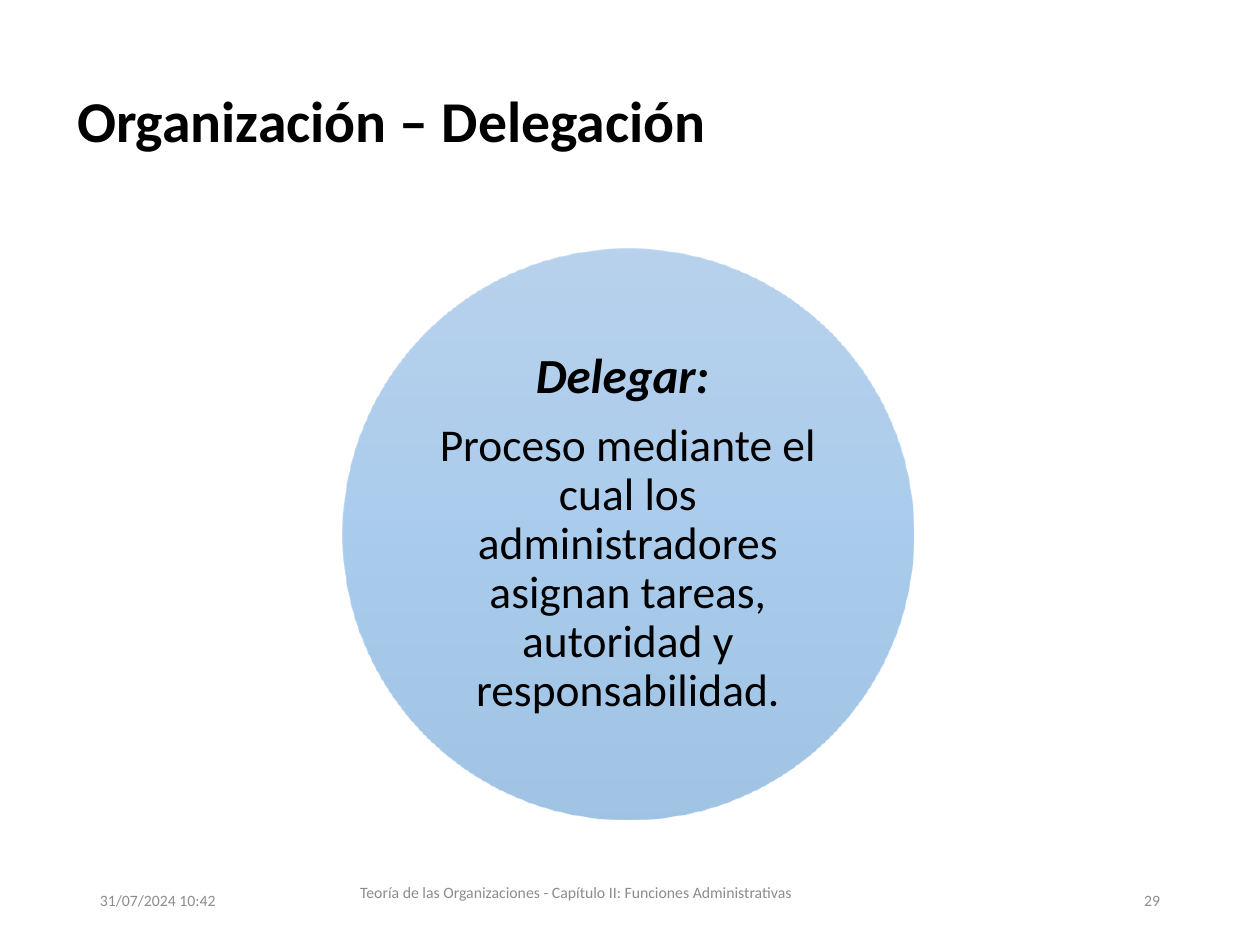
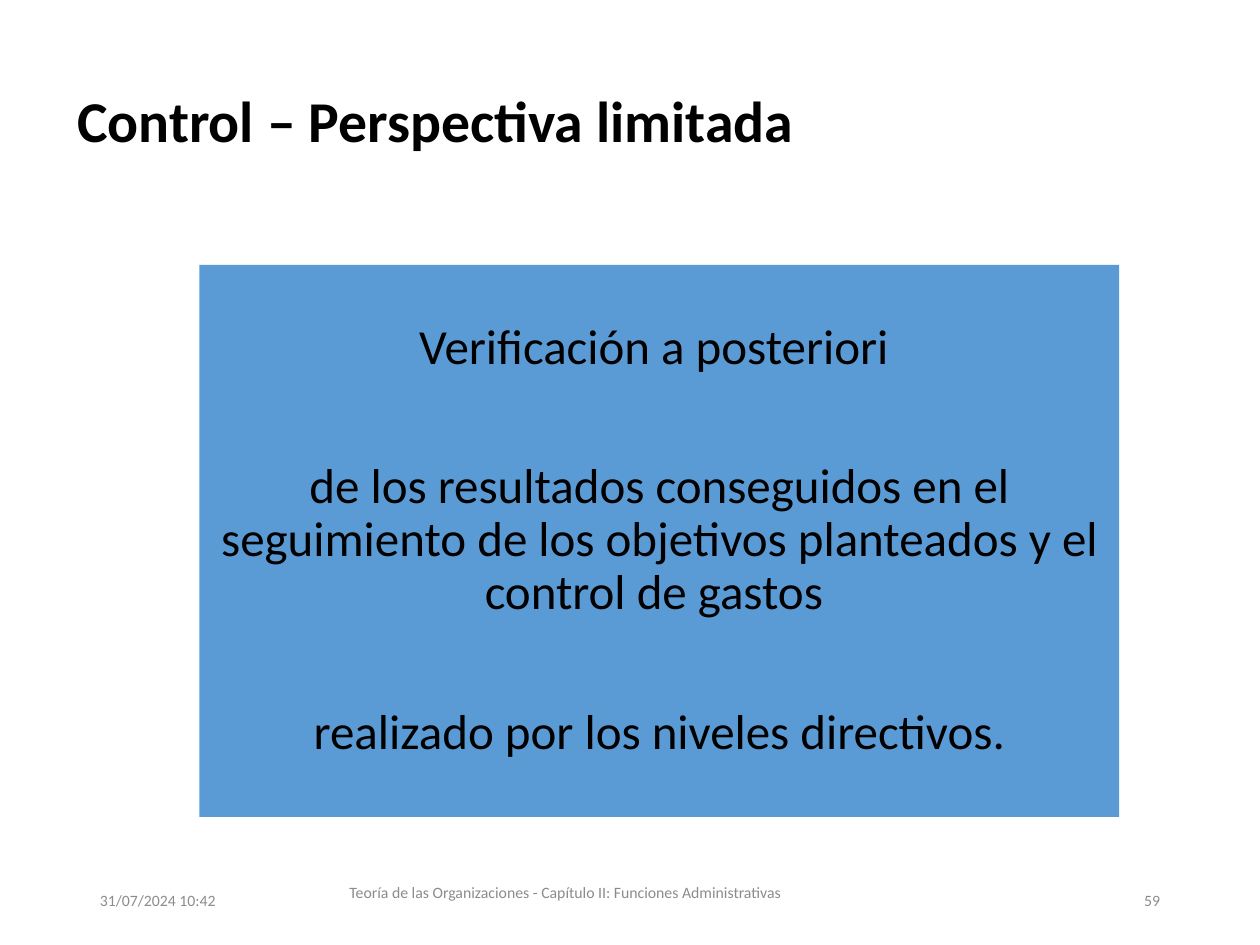
from lxml import etree
from pptx import Presentation
from pptx.dml.color import RGBColor
from pptx.enum.shapes import MSO_SHAPE
from pptx.enum.text import MSO_ANCHOR, PP_ALIGN
from pptx.oxml.ns import qn
from pptx.util import Pt

OVAL, RECTANGLE = MSO_SHAPE.OVAL, MSO_SHAPE.RECTANGLE
LEFT, CENTER, RIGHT = PP_ALIGN.LEFT, PP_ALIGN.CENTER, PP_ALIGN.RIGHT
MIDDLE = MSO_ANCHOR.MIDDLE

BLACK = RGBColor(0x00, 0x00, 0x00)
GRAY = RGBColor(0x8C, 0x8C, 0x8C)
BLUE = RGBColor(0x5B, 0x9B, 0xD5)
CIRCLE_STOPS = [
    (0, RGBColor(0x71, 0xA6, 0xDB)),
    (50, RGBColor(0x55, 0x9B, 0xDB)),
    (100, RGBColor(0x44, 0x8A, 0xCA)),
]
CIRCLE_OPACITY = 50

FONT = "Calibri"
LINE_SPACING = 0.9
COURSE = "Teoría de las Organizaciones - Capítulo II: Funciones Administrativas"
DATE = "31/07/2024 10:42"


def write(shape, lines, size, color=BLACK, align=LEFT, inset=None, gap=0, spacing=LINE_SPACING):
    """Fill a shape with one paragraph per line, with the gap between them."""
    frame = shape.text_frame
    frame.word_wrap = True
    frame.vertical_anchor = MIDDLE
    if inset is not None:
        frame.margin_left = frame.margin_right = Pt(inset)
        frame.margin_top = frame.margin_bottom = Pt(inset)
    frame.text = "\n".join(lines)
    for index, para in enumerate(frame.paragraphs):
        para.alignment = align
        para.line_spacing = spacing
        para.space_before = Pt(gap if index else 0)
        for span in para.runs:
            span.font.name = FONT
            span.font.size = Pt(size)
            span.font.color.rgb = color
    return frame


def add_page(title, number, course_left, course_width):
    """Add a slide with its title and the three footer texts."""
    page = deck.slides.add_slide(deck.slide_layouts[6])
    box = page.shapes.add_textbox(Pt(37), Pt(26), Pt(648), Pt(90))
    frame = write(box, [title], 33)
    frame.paragraphs[0].runs[0].font.bold = True
    footers = [
        (DATE, 50, 500, 162, 29, LEFT),
        (COURSE, course_left, 492, course_width, 36, CENTER),
        (number, 508, 500, 162, 29, RIGHT),
    ]
    for text, left, top, width, height, align in footers:
        box = page.shapes.add_textbox(Pt(left), Pt(top), Pt(width), Pt(height))
        write(box, [text], 9, GRAY, align, spacing=1.0)
    return page


deck = Presentation()
deck.slide_width = Pt(720)
deck.slide_height = Pt(540)

# Delegation: definition in a translucent circle
page = add_page("Organización – Delegación", "29", 146, 366)
circle = page.shapes.add_shape(OVAL, Pt(195.8), Pt(142), Pt(326.2), Pt(326.2))
circle.shadow.inherit = False
circle.line.fill.background()
circle.fill.gradient()
circle.fill.gradient_angle = 270
stop_list = circle.fill._fill._gradFill.find(qn("a:gsLst"))
for stop in list(stop_list):
    stop_list.remove(stop)
for position, color in CIRCLE_STOPS:
    stop = etree.SubElement(stop_list, qn("a:gs"), pos=str(position * 1000))
    stop_color = etree.SubElement(stop, qn("a:srgbClr"), val=str(color))
    etree.SubElement(stop_color, qn("a:alpha"), val=str(CIRCLE_OPACITY * 1000))

definition = [
    "Delegar: ",
    "Proceso mediante el cual los administradores asignan tareas, autoridad y responsabilidad.",
]
frame = write(circle, definition, 26, align=CENTER, inset=0, gap=10)
term = frame.paragraphs[0].runs[0].font
term.size = Pt(28)
term.bold = term.italic = True

# Control: limited view in a solid panel
page = add_page("Control – Perspectiva limitada", "59", 134.6, 376.6)
panel = page.shapes.add_shape(RECTANGLE, Pt(114), Pt(151.4), Pt(525.6), Pt(315.4))
panel.shadow.inherit = False
panel.line.fill.background()
panel.fill.solid()
panel.fill.fore_color.rgb = BLUE
limited_view = [
    "Verificación a posteriori ",
    "de los resultados conseguidos en el seguimiento de los objetivos planteados "
    "y el control de gastos ",
    "realizado por los niveles directivos.",
]
write(panel, limited_view, 28, align=CENTER, inset=8.4, gap=49.5)

deck.save("out.pptx")
